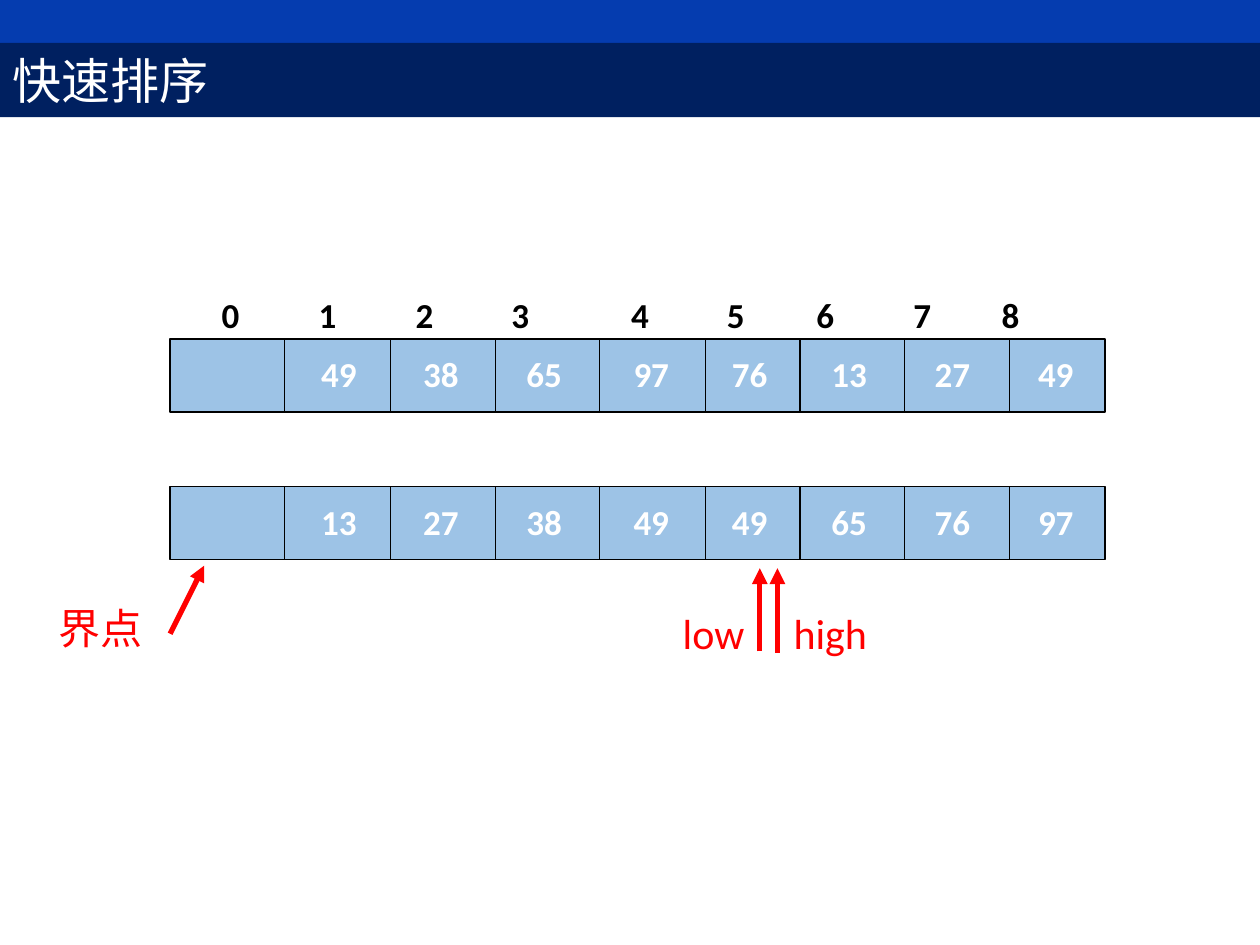
import pptx
import pptx.dml.color
import pptx.enum.shapes
import pptx.enum.text
import pptx.oxml.ns
import pptx.util
from lxml import etree

# Content
TITLE = "快速排序"
INDEXES = range(9)
ROWS = [  # top of the array, values of cells 1 to 8
    (2.69, [49, 38, 65, 97, 76, 13, 27, 49]),
    (3.86, [13, 27, 38, 49, 49, 65, 76, 97]),
]
POINTERS = [  # label, box (left, top, width, height), arrow start, arrow end
    ("high", (6.2, 4.77, 1.08, 0.51), (6.17, 5.18), (6.17, 4.51)),
    ("low", (5.32, 4.77, 0.85, 0.51), (6.03, 5.17), (6.03, 4.51)),
    ("界点", (0.37, 4.73, 0.97, 0.5), (1.35, 5.03), (1.62, 4.49)),
]

# Array grid, in inches
LEFT, WIDTH, HEIGHT = 1.35, 7.42, 0.58
DIVIDERS = [2.26, 3.1, 3.93, 4.76, 5.6, 6.35, 7.18, 8.01]
VALUE_LEFTS = [2.45, 3.26, 4.08, 4.93, 5.71, 6.5, 7.32, 8.14]
INDEX_TABS = [0.31, 1.08, 1.85, 2.61, 3.56, 4.32, 5.03, 5.8, 6.5]

THEME = {
    "font": "Calibri",
    "band": "053CAF", "title_bar": "002060", "cell": "9DC3E6",
    "line": "000000", "light": "FFFFFF", "dark": "000000", "mark": "FF0000",
    "title_pt": 28, "value_pt": 20, "label_pt": 24,
    "grid_pt": 0.75, "arrow_pt": 3,
}

inch = pptx.util.Inches


def color(name):
    return pptx.dml.color.RGBColor.from_string(THEME[name])


def write(sp, text, size, ink, bold=False, tabs=()):
    tf = sp.text_frame
    tf.word_wrap = True
    tf.text = text
    p = tf.paragraphs[0]
    p.alignment = pptx.enum.text.PP_ALIGN.LEFT
    if tabs:
        tab_list = etree.SubElement(p._p.get_or_add_pPr(), pptx.oxml.ns.qn("a:tabLst"))
        for pos in tabs:
            etree.SubElement(tab_list, pptx.oxml.ns.qn("a:tab"),
                             pos=str(inch(pos)), algn="l")
    for r in p.runs:
        r.font.name = THEME["font"]
        r.font.size = pptx.util.Pt(THEME[size])
        r.font.bold = bold
        r.font.color.rgb = color(ink)


def add_rect(s, box, fill, outlined=False):
    sp = s.shapes.add_shape(pptx.enum.shapes.MSO_SHAPE.RECTANGLE, *map(inch, box))
    sp.shadow.inherit = False
    sp.fill.solid()
    sp.fill.fore_color.rgb = color(fill)
    if outlined:
        sp.line.color.rgb = color("line")
        sp.line.width = pptx.util.Pt(THEME["grid_pt"])
    else:
        sp.line.fill.background()
    return sp


def add_text(s, box, text, size, ink, **style):
    write(s.shapes.add_textbox(*map(inch, box)), text, size, ink, **style)


def add_line(s, start, end, ink, width, arrow=False):
    cx = s.shapes.add_connector(pptx.enum.shapes.MSO_CONNECTOR.STRAIGHT,
                                *map(inch, start + end))
    cx.line.color.rgb = color(ink)
    cx.line.width = pptx.util.Pt(THEME[width])
    if arrow:
        etree.SubElement(cx.line._get_or_add_ln(),
                         pptx.oxml.ns.qn("a:tailEnd"), type="triangle")
    etree.SubElement(cx._element.spPr, pptx.oxml.ns.qn("a:effectLst"))


def main():
    prs = pptx.Presentation()
    prs.slide_width, prs.slide_height = inch(10), inch(7.5)
    s = prs.slides.add_slide(prs.slide_layouts[6])

    # Header
    add_rect(s, (0, 0, 10, 0.34), "band")
    bar = add_rect(s, (0, 0.34, 10, 0.59), "title_bar")
    bar.text_frame.vertical_anchor = pptx.enum.text.MSO_ANCHOR.MIDDLE
    write(bar, TITLE, "title_pt", "light")

    # Index labels above the first array
    add_text(s, (LEFT, 2.28, WIDTH, 0.44), "".join(f"\t{i}" for i in INDEXES),
             "value_pt", "dark", bold=True, tabs=INDEX_TABS)

    # Arrays before and after sorting
    for top, values in ROWS:
        add_rect(s, (LEFT, top, WIDTH, HEIGHT), "cell", outlined=True)
        for x in DIVIDERS:
            add_line(s, (x, top), (x, top + HEIGHT), "line", "grid_pt")
        for x, value in zip(VALUE_LEFTS, values):
            add_text(s, (x, top + 0.06, 0.67, 0.43), str(value),
                     "value_pt", "light", bold=True)

    # Pointers
    for label, box, start, end in POINTERS:
        add_line(s, start, end, "mark", "arrow_pt", arrow=True)
        add_text(s, box, label, "label_pt", "mark")

    prs.save("out.pptx")


if __name__ == "__main__":
    main()
